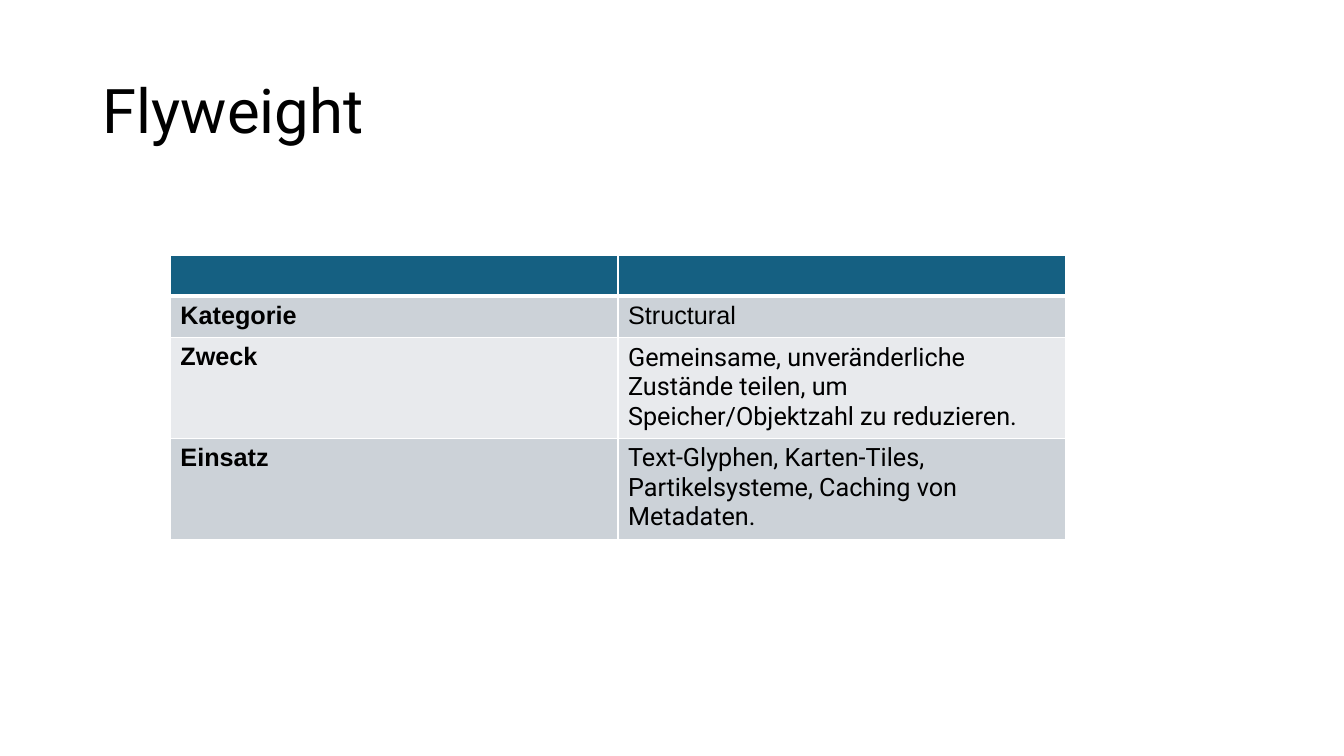
from lxml import etree
from pptx import Presentation, util as u
from pptx.dml.color import RGBColor
from pptx.enum import text
from pptx.oxml import ns

THEME = {
    "ink": "000000", "rule": "FFFFFF", "head": "156082",
    "bands": ("CCD2D8", "E8EAED"),
    "sans": "Arial", "body": "Roboto",
    "title": 44, "cell": 18, "thin": 1, "thick": 3,
}
ROWS = [
    ("", "", THEME["body"]),
    ("Kategorie", "Structural", THEME["sans"]),
    ("Zweck", "Gemeinsame, unveränderliche Zustände teilen, um "
     "Speicher/Objektzahl zu reduzieren.", THEME["body"]),
    ("Einsatz", "Text-Glyphen, Karten-Tiles, Partikelsysteme, "
     "Caching von Metadaten.", THEME["body"]),
]
COL, ROW = u.Inches(4.44), u.Inches(0.41)


def write(para, words, font, size, bold=False):
    run = para.add_run()
    run.text = words
    run.font.name, run.font.size, run.font.bold = font, u.Pt(size), bold
    run.font.color.rgb = RGBColor.from_string(THEME["ink"])


def edge(cell, side, width):
    """Draw one border of a cell; side is L, R, T or B."""
    props = cell._tc.get_or_add_tcPr()
    line = etree.SubElement(props, ns.qn("a:ln" + side), w=str(u.Pt(width)))
    fill = etree.SubElement(line, ns.qn("a:solidFill"))
    etree.SubElement(fill, ns.qn("a:srgbClr"), val=THEME["rule"])


deck = Presentation()
deck.slide_width, deck.slide_height = u.Inches(13.33), u.Inches(7.5)
slide = deck.slides.add_slide(deck.slide_layouts[6])

# Title
box = slide.shapes.add_textbox(
    u.Inches(0.92), u.Inches(0.4), u.Inches(11.5), u.Inches(1.45))
frame = box.text_frame
frame.word_wrap = True
frame.vertical_anchor = text.MSO_ANCHOR.MIDDLE
frame.paragraphs[0].line_spacing = 0.9
write(frame.paragraphs[0], "Flyweight", THEME["body"], THEME["title"])

# Pattern table: rows grow with their text
grid = slide.shapes.add_table(
    len(ROWS), 2, u.Inches(1.69), u.Inches(2.53), 2 * COL, len(ROWS) * ROW).table
for r, (label, value, font) in enumerate(ROWS):
    tone = THEME["bands"][(r - 1) % 2] if r else THEME["head"]
    for c, words in enumerate((label, value)):
        cell = grid.cell(r, c)
        for side in "LRTB":
            heavy = (r, side) in ((0, "B"), (1, "T"))
            edge(cell, side, THEME["thick" if heavy else "thin"])
        cell.fill.solid()
        cell.fill.fore_color.rgb = RGBColor.from_string(tone)
        if words:
            write(cell.text_frame.paragraphs[0], words,
                  font if c else THEME["sans"], THEME["cell"], bold=c == 0)

deck.save("out.pptx")
